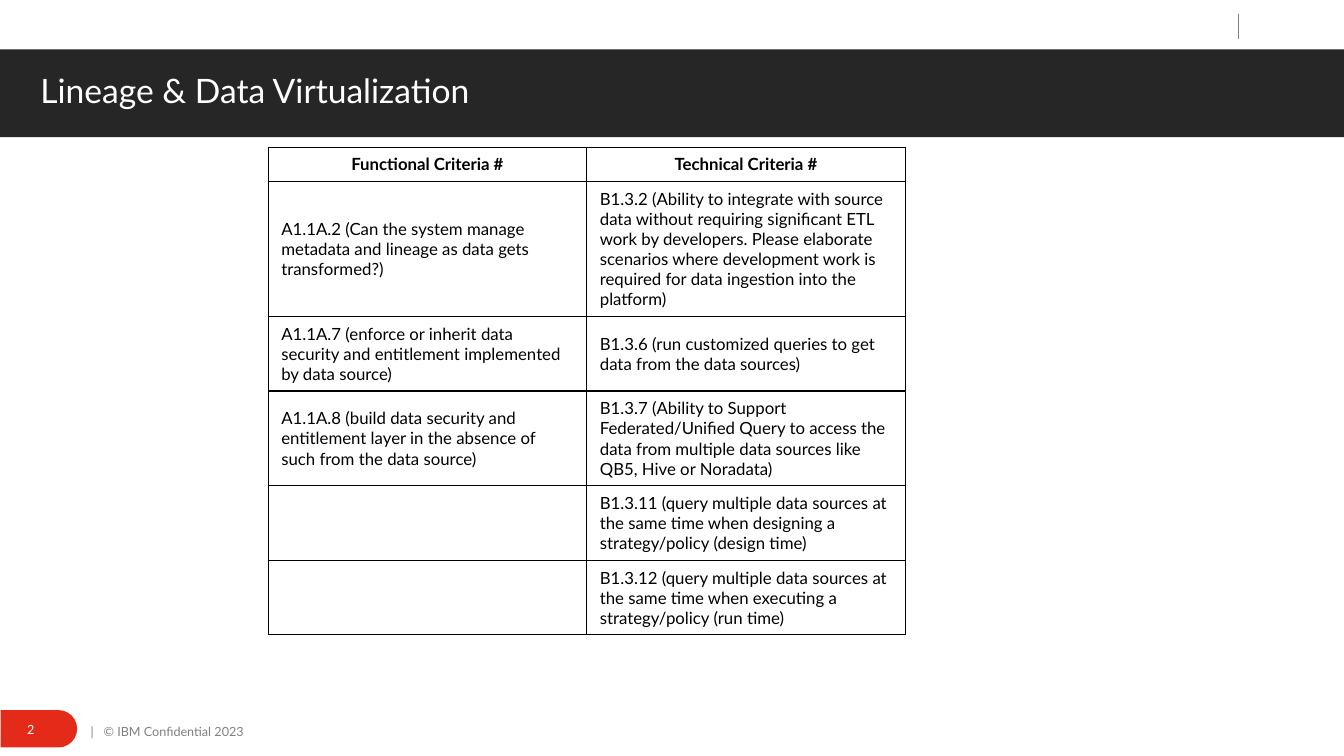
"""Build the Lineage & Data Virtualization criteria slide."""
from lxml.etree import SubElement
from pptx import Presentation
from pptx.dml.color import RGBColor
from pptx.enum.shapes import MSO_CONNECTOR, MSO_SHAPE
from pptx.enum.text import MSO_ANCHOR, MSO_AUTO_SIZE, PP_ALIGN
from pptx.oxml import parse_xml
from pptx.oxml.ns import nsdecls, qn
from pptx.util import Inches, Pt

RED = RGBColor(0xE4, 0x2A, 0x18)
CHARCOAL = RGBColor(0x26, 0x26, 0x26)
GRAY = RGBColor(0x80, 0x80, 0x80)
WHITE = RGBColor(0xFF, 0xFF, 0xFF)
BLACK = RGBColor(0x00, 0x00, 0x00)

CRITERIA = [
    ("Functional Criteria #", "Technical Criteria #"),
    ("A1.1A.2 (Can the system manage metadata and lineage as data gets transformed?)",
     "B1.3.2 (Ability to integrate with source data without requiring significant ETL work by "
     "developers. Please elaborate scenarios where development work is required for data "
     "ingestion into the platform)"),
    ("A1.1A.7 (enforce or inherit data security and entitlement implemented by data source)",
     "B1.3.6 (run customized queries to get data from the data sources)"),
    ("A1.1A.8 (build data security and entitlement layer in the absence of such from the data "
     "source)",
     "B1.3.7 (Ability to Support Federated/Unified Query to access the data from multiple data "
     "sources like QB5, Hive or Noradata)"),
    ("", "B1.3.11 (query multiple data sources at the same time when designing a "
         "strategy/policy (design time)"),
    ("", "B1.3.12 (query multiple data sources at the same time when executing a "
         "strategy/policy (run time)"),
]
ROW_HEIGHTS = [0.33, 1.33, 0.73, 0.93, 0.73, 0.73]


def write_text(frame, text, size=12, color=BLACK, bold=False, align=PP_ALIGN.LEFT, spacing=1.0):
    """Fill a text frame with one formatted paragraph."""
    frame.word_wrap = True
    paragraph = frame.paragraphs[0]
    paragraph.alignment = align
    paragraph.line_spacing = spacing
    run = paragraph.add_run()
    run.text = text
    run.font.name = "Lato"
    run.font.size = Pt(size)
    run.font.bold = bold
    run.font.color.rgb = color


presentation = Presentation()
presentation.slide_width = Inches(13.33)
presentation.slide_height = Inches(7.5)
slide = presentation.slides.add_slide(presentation.slide_layouts[5])
shapes = slide.shapes

page_tab = shapes.add_shape(MSO_SHAPE.ROUND_2_SAME_RECTANGLE,
                            Inches(0.2), Inches(6.85), Inches(0.37), Inches(0.76))
page_tab.rotation = 90
page_tab.adjustments[0] = 0.5
page_tab.adjustments[1] = 0
title_band = shapes.add_shape(MSO_SHAPE.RECTANGLE,
                              0, Inches(0.49), Inches(13.33), Inches(0.87))
for shape, color in ((page_tab, RED), (title_band, CHARCOAL)):
    shape.shadow.inherit = False
    shape.fill.solid()
    shape.fill.fore_color.rgb = color
    shape.line.fill.background()

for text, left, top, width, height, inset, color in (
    ("2", 0.17, 7.04, 0.59, 0.4, 0.1, WHITE),
    ("|   © IBM Confidential 2023", 0.9, 7.13, 1.99, 0.25, 0, GRAY),
):
    footer = shapes.add_textbox(Inches(left), Inches(top), Inches(width), Inches(height))
    footer.text_frame.margin_left = Inches(inset)
    footer.text_frame.vertical_anchor = MSO_ANCHOR.MIDDLE
    write_text(footer.text_frame, text, size=9, color=color)

divider = shapes.add_connector(MSO_CONNECTOR.STRAIGHT,
                               Inches(12.28), Inches(0.14), Inches(12.28), Inches(0.39))
divider.line.color.rgb = GRAY
divider.line.width = Pt(0.5)
SubElement(divider._element.spPr, qn("a:effectLst"))

title = shapes.title
title_band._element.addnext(title._element)
title.left, title.top = Inches(0.4), Inches(0.69)
title.width, title.height = Inches(12.94), Inches(0.47)
title.text_frame.margin_left = 0
title.text_frame.vertical_anchor = MSO_ANCHOR.TOP
title.text_frame.auto_size = MSO_AUTO_SIZE.NONE
write_text(title.text_frame, "Lineage & Data Virtualization", size=24, color=WHITE, spacing=0.9)

table = shapes.add_table(len(CRITERIA), 2, Inches(2.66), Inches(1.46),
                         Inches(6.32), Inches(sum(ROW_HEIGHTS))).table
table.first_row = False
table.horz_banding = False
for row_index, (row, height) in enumerate(zip(CRITERIA, ROW_HEIGHTS)):
    table.rows[row_index].height = Inches(height)
    header = row_index == 0
    for column_index, text in enumerate(row):
        cell = table.cell(row_index, column_index)
        cell.margin_left = cell.margin_right = Inches(0.13)
        cell.margin_top = cell.margin_bottom = Inches(0.07)
        cell.vertical_anchor = MSO_ANCHOR.TOP if header else MSO_ANCHOR.MIDDLE
        cell.fill.background()
        properties = cell._tc.get_or_add_tcPr()
        for position, side in enumerate(("lnL", "lnR", "lnT", "lnB")):
            properties.insert(position, parse_xml(
                f'<a:{side} {nsdecls("a")} w="12700"><a:solidFill>'
                f'<a:srgbClr val="{BLACK}"/></a:solidFill></a:{side}>'))
        if text:
            write_text(cell.text_frame, text, bold=header,
                       align=PP_ALIGN.CENTER if header else PP_ALIGN.LEFT)

presentation.save("out.pptx")
